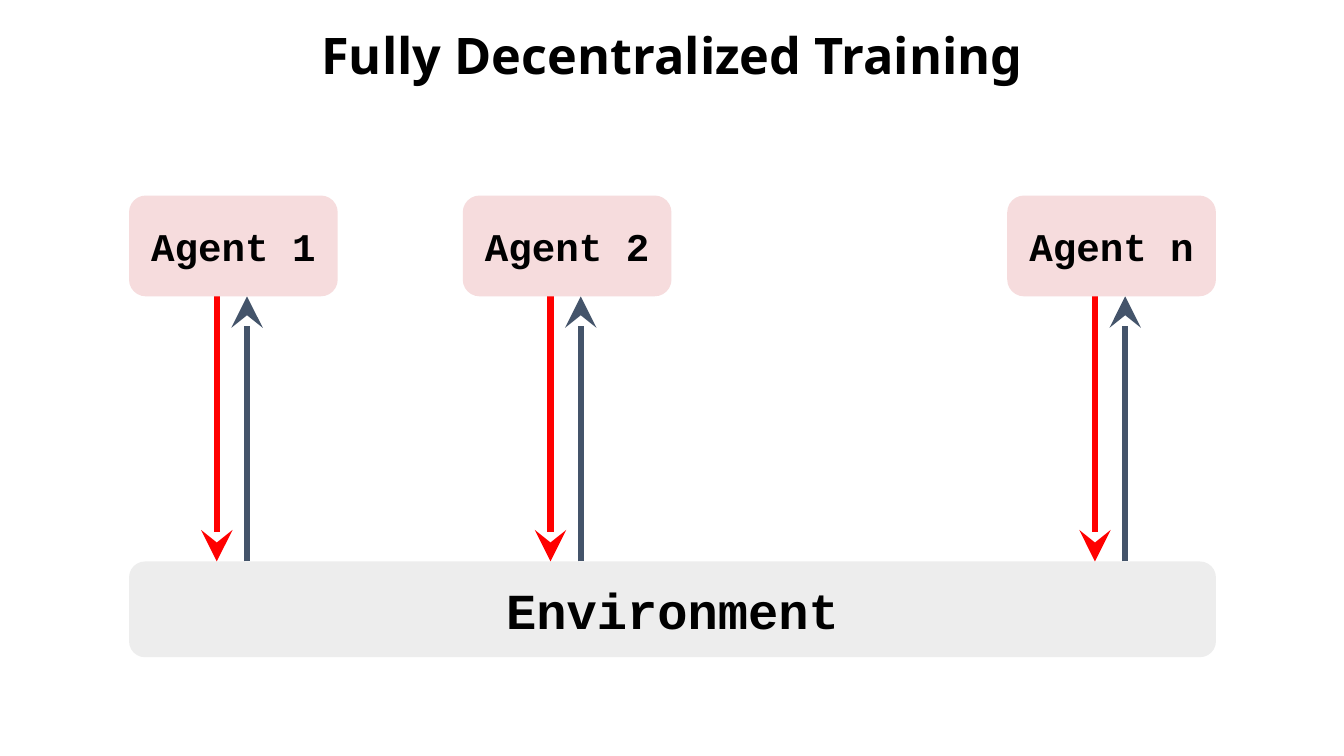
from dataclasses import dataclass

from lxml import etree
from pptx import Presentation
from pptx import util as u
from pptx.dml.color import RGBColor
from pptx.enum import shapes, text
from pptx.oxml import ns

BLACK, RED, SLATE = "000000", "FF0000", "44546A"
PINK, GREY = "F6DCDD", "EDEDED"

AGENT_TOP, AGENT_WIDTH, AGENT_HEIGHT = 1.94, 2.07, 1.0
AGENT_BOTTOM = AGENT_TOP + AGENT_HEIGHT
ENVIRONMENT_TOP = 5.57
ACTION_OFFSET, OBSERVATION_OFFSET = 0.87, 1.17


@dataclass
class Box:
    label: str
    left: float
    top: float
    width: float
    height: float
    fill: str
    size: int


@dataclass
class Arrow:
    x: float
    start: float
    end: float
    color: str


def rgb(color: str) -> RGBColor:
    return RGBColor.from_string(color)


def write_label(shape, label: str, font_name: str, size: int, spacing: float = 1.0) -> None:
    frame = shape.text_frame
    frame.word_wrap = True
    frame.vertical_anchor = text.MSO_ANCHOR.MIDDLE
    paragraph = frame.paragraphs[0]
    paragraph.text = label
    paragraph.alignment = text.PP_ALIGN.CENTER
    paragraph.line_spacing = spacing
    font = paragraph.runs[0].font
    font_format = {"name": font_name, "size": u.Pt(size), "bold": True}
    for name, value in font_format.items():
        setattr(font, name, value)
    font.color.rgb = rgb(BLACK)


def draw_box(slide, box: Box) -> None:
    place = map(u.Inches, (box.left, box.top, box.width, box.height))
    shape = slide.shapes.add_shape(shapes.MSO_SHAPE.ROUNDED_RECTANGLE, *place)
    shape.shadow.inherit = False
    shape.fill.solid()
    shape.fill.fore_color.rgb = rgb(box.fill)
    shape.line.fill.background()
    write_label(shape, box.label, "Courier New", box.size)


def draw_arrow(slide, arrow: Arrow) -> None:
    points = map(u.Inches, (arrow.x, arrow.start, arrow.x, arrow.end))
    connector = slide.shapes.add_connector(shapes.MSO_CONNECTOR.STRAIGHT, *points)
    connector.line.color.rgb = rgb(arrow.color)
    connector.line.width = u.Pt(4.5)
    # Large stealth arrowhead, no shadow
    properties = connector.line._get_or_add_ln()
    etree.SubElement(properties, ns.qn("a:tailEnd"), type="stealth", w="lg", len="lg")
    etree.SubElement(connector._element.spPr, ns.qn("a:effectLst"))


def main() -> None:
    presentation = Presentation()
    presentation.slide_width = u.Inches(13.33)
    presentation.slide_height = u.Inches(7.5)
    slide = presentation.slides.add_slide(presentation.slide_layouts[6])

    # Title
    title = slide.shapes.add_textbox(*map(u.Inches, (0, 0.01, 13.33, 1.13)))
    write_label(title, "Fully Decentralized Training", "Noto Sans", 36, 0.9)

    # Environment shared by all agents
    draw_box(slide, Box("Environment", 1.28, ENVIRONMENT_TOP, 10.78, 0.95, GREY, 36))

    # Agents, each with an action going down and an observation coming up
    for label, left in (("Agent 1", 1.28), ("Agent 2", 4.59), ("Agent n", 9.99)):
        draw_arrow(slide, Arrow(left + ACTION_OFFSET, AGENT_BOTTOM, ENVIRONMENT_TOP, RED))
        draw_arrow(slide, Arrow(left + OBSERVATION_OFFSET, ENVIRONMENT_TOP, AGENT_BOTTOM, SLATE))
        draw_box(slide, Box(label, left, AGENT_TOP, AGENT_WIDTH, AGENT_HEIGHT, PINK, 28))

    presentation.save("out.pptx")


if __name__ == "__main__":
    main()
